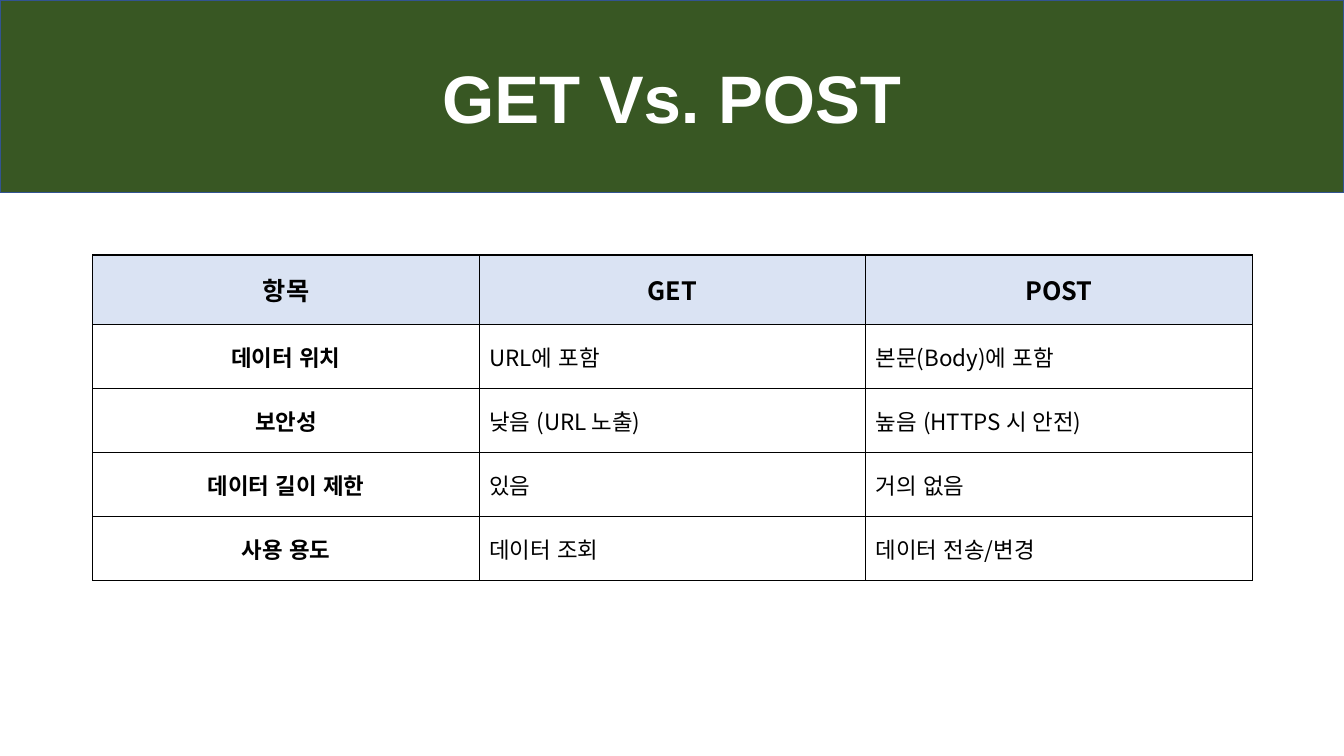
from lxml import etree
from pptx import Presentation
from pptx.dml.color import RGBColor
from pptx.enum import lang, shapes, text
from pptx.oxml import ns
from pptx.util import Inches, Pt

TITLE = "GET Vs. POST"
ROWS = [
    ("항목", "GET", "POST"),
    ("데이터 위치", "URL에 포함", "본문(Body)에 포함"),
    ("보안성", "낮음 (URL 노출)", "높음 (HTTPS 시 안전)"),
    ("데이터 길이 제한", "있음", "거의 없음"),
    ("사용 용도", "데이터 조회", "데이터 전송/변경"),
]
THEME = {
    "band": "385723", "edge": "325491", "head": "DAE3F3",
    "ink": "000000", "light": "FFFFFF",
    "latin": "Arial", "korean": "Noto Sans CJK KR",
    "title": 48, "label": 18, "body": 16,
}
WIDTH, HEIGHT, BAND = 13.33, 7.5, 1.91
LEFT, TOP, SPAN = 0.92, 2.53, 11.5
HEAD, ROW = 0.69, 0.635


def rgb(key):
    return RGBColor.from_string(THEME[key])


def write(frame, words, face, size, ink, bold, align):
    frame.word_wrap = True
    para = frame.paragraphs[0]
    para.alignment = align
    run = para.add_run()
    run.text = words
    style = {"name": THEME[face], "size": Pt(THEME[size]), "bold": bold}
    for key, value in style.items():
        setattr(run.font, key, value)
    run.font.color.rgb = rgb(ink)
    return run


def border(cell):
    """Draw a thin line on all four sides; call before the cell is filled."""
    props = cell._tc.get_or_add_tcPr()
    for side in "LRTB":
        line = etree.SubElement(props, ns.qn("a:ln" + side), w=str(Pt(1)))
        fill = etree.SubElement(line, ns.qn("a:solidFill"))
        etree.SubElement(fill, ns.qn("a:srgbClr"), val=THEME["ink"])


def banner(slide):
    band = slide.shapes.add_shape(
        shapes.MSO_SHAPE.RECTANGLE, 0, 0, Inches(WIDTH), Inches(BAND))
    band.shadow.inherit = False
    band.fill.solid()
    band.fill.fore_color.rgb = rgb("band")
    band.line.color.rgb = rgb("edge")
    band.line.width = Pt(1)
    band.text_frame.vertical_anchor = text.MSO_ANCHOR.MIDDLE
    write(band.text_frame, TITLE, "latin", "title", "light", True,
          text.PP_ALIGN.CENTER)


def compare(slide):
    count, cols = len(ROWS), len(ROWS[0])
    tall = HEAD + ROW * (count - 1)
    grid = slide.shapes.add_table(
        count, cols, Inches(LEFT), Inches(TOP), Inches(SPAN),
        Inches(tall)).table
    grid.first_row = grid.horz_banding = False
    for col in grid.columns:
        col.width = Inches(SPAN / cols)
    for r, words in enumerate(ROWS):
        grid.rows[r].height = Inches(ROW if r else HEAD)
        for c, word in enumerate(words):
            cell = grid.cell(r, c)
            border(cell)
            cell.vertical_anchor = text.MSO_ANCHOR.MIDDLE
            if r == 0:
                cell.fill.solid()
                cell.fill.fore_color.rgb = rgb("head")
            else:
                cell.fill.background()
            key = r == 0 or c == 0
            align = text.PP_ALIGN.CENTER if key else text.PP_ALIGN.LEFT
            run = write(cell.text_frame, word, "korean",
                        "body" if r else "label", "ink", key, align)
            run.font.language_id = lang.MSO_LANGUAGE_ID.KOREAN
            etree.SubElement(run.font._element, ns.qn("a:ea"),
                             typeface=THEME["korean"])


def main():
    deck = Presentation()
    deck.slide_width, deck.slide_height = Inches(WIDTH), Inches(HEIGHT)
    slide = deck.slides.add_slide(deck.slide_layouts[6])
    banner(slide)
    compare(slide)
    deck.save("out.pptx")


if __name__ == "__main__":
    main()
